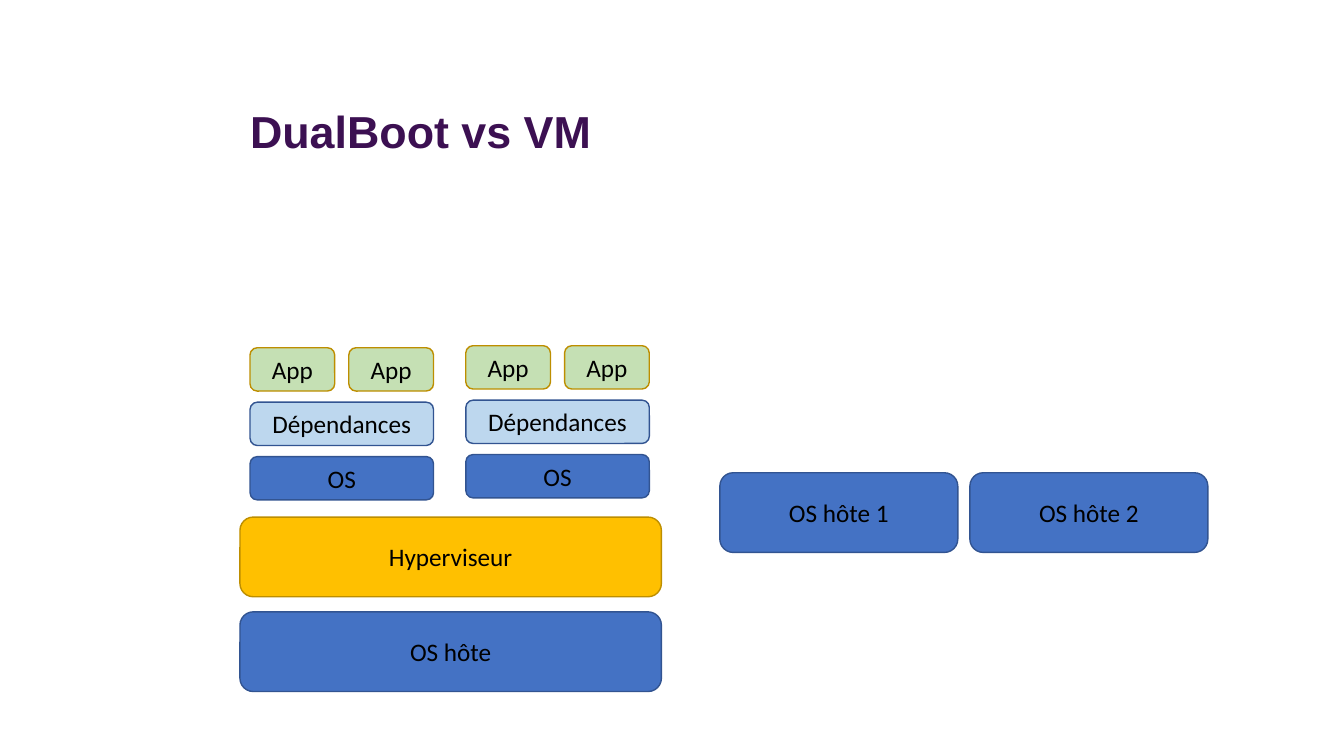
from dataclasses import dataclass

from pptx import Presentation
from pptx.dml.color import RGBColor
from pptx.enum.shapes import MSO_SHAPE as Shape
from pptx.enum.text import MSO_ANCHOR as Anchor, MSO_AUTO_SIZE as AutoSize, PP_ALIGN as Align
from pptx.shapes.autoshape import Shape as AutoShape
from pptx.slide import Slide
from pptx.util import Inches, Pt

BLUE, PALE_BLUE, GREEN, GOLD = "4472C4", "BDD7EE", "C5E0B4", "FFC000"
NAVY, OCHRE = "325491", "BD8E00"


@dataclass(frozen=True)
class Grid:
    """Cells of equal pitch, in inches, with a gap after each one."""
    left: float
    top: float
    col: float
    row: float
    gap_x: float
    gap_y: float

    def cell(self, col: int, row: int, span: int) -> tuple[Inches, ...]:
        """Return the left, top, width and height of a cell."""
        return tuple(Inches(v) for v in (
            self.left + col * self.col, self.top + row * self.row,
            span * self.col - self.gap_x, self.row - self.gap_y))


@dataclass(frozen=True)
class Box:
    """A labelled block placed on a grid."""
    text: str
    col: int
    row: int
    span: int = 1
    fill: str = BLUE
    line: str = NAVY


VM_BOXES = [
    Box("App", 0, 0, fill=GREEN, line=OCHRE),
    Box("App", 1, 0, fill=GREEN, line=OCHRE),
    Box("Dépendances", 0, 1, span=2, fill=PALE_BLUE),
    Box("OS", 0, 2, span=2),
]
HOST_BOXES = [Box("Hyperviseur", 0, 0, fill=GOLD, line=OCHRE), Box("OS hôte", 0, 1)]
DUAL_BOXES = [Box("OS hôte 1", 0, 0), Box("OS hôte 2", 1, 0)]

STACKS = [
    (Grid(2.48, 3.45, 0.98, 0.54, 0.14, 0.11), VM_BOXES),
    (Grid(4.62, 3.43, 0.98, 0.54, 0.14, 0.11), VM_BOXES),
    (Grid(2.38, 5.13, 4.32, 0.94, 0.14, 0.15), HOST_BOXES),
    (Grid(7.14, 4.69, 2.48, 0.94, 0.12, 0.15), DUAL_BOXES),
]


def rgb(value: str) -> RGBColor:
    """Turn a hex string into a colour."""
    return RGBColor.from_string(value)


def write(s: AutoShape, text: str, *, font: str = "Calibri", size: float = 18,
          color: str = "000000", bold: bool = False, align: Align = Align.CENTER,
          spacing: float = 1.0) -> None:
    """Put one formatted paragraph in the middle of a shape."""
    tf = s.text_frame
    tf.word_wrap = True
    tf.auto_size = AutoSize.NONE
    tf.vertical_anchor = Anchor.MIDDLE
    p = tf.paragraphs[0]
    p.alignment, p.line_spacing = align, spacing
    r = p.add_run()
    r.text = text
    r.font.name, r.font.size, r.font.bold = font, Pt(size), bold
    r.font.color.rgb = rgb(color)


def draw_box(slide: Slide, grid: Grid, box: Box) -> None:
    """Draw one rounded block on its grid."""
    s = slide.shapes.add_shape(Shape.ROUNDED_RECTANGLE, *grid.cell(box.col, box.row, box.span))
    s.shadow.inherit = False
    s.fill.solid()
    s.fill.fore_color.rgb = rgb(box.fill)
    s.line.color.rgb = rgb(box.line)
    s.line.width = Pt(1)
    write(s, box.text)


def main() -> None:
    """Build and save the slide."""
    prs = Presentation()
    prs.slide_width, prs.slide_height = Inches(13.33), Inches(7.5)
    slide = prs.slides.add_slide(prs.slide_layouts.get_by_name("Title Only"))
    title = slide.shapes.title
    title.left, title.top, title.width, title.height = Grid(2.38, 0.6, 9.86, 1.45, 0, 0).cell(0, 0, 1)
    write(title, "DualBoot vs VM", font="Arial", size=32, color="3C1052",
          bold=True, align=Align.LEFT, spacing=0.9)
    for grid, boxes in STACKS:
        for box in boxes:
            draw_box(slide, grid, box)
    prs.save("out.pptx")


if __name__ == "__main__":
    main()
